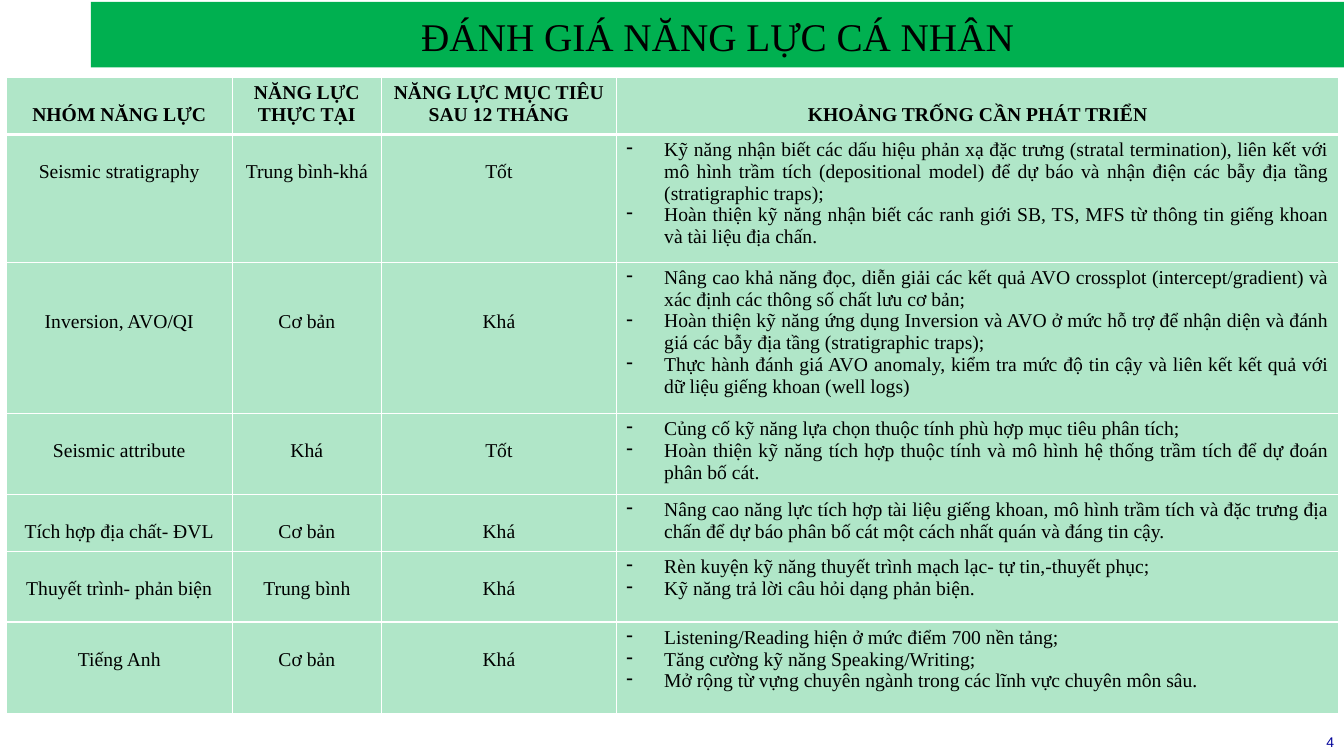
from lxml import etree
from pptx import Presentation
from pptx import util as u
from pptx.dml.color import RGBColor
from pptx.enum import shapes, text
from pptx.oxml import ns

GREEN, WHITE, BLACK, NAVY = "00B050", "FFFFFF", "000000", "000099"
SERIF, SANS = "Times New Roman", "Arial"
LEFT, CENTER = text.PP_ALIGN.LEFT, text.PP_ALIGN.CENTER
RIGHT, JUSTIFY = text.PP_ALIGN.RIGHT, text.PP_ALIGN.JUSTIFY

COLUMN_WIDTHS = [161.4, 106.6, 167.8, 516.2]
ROW_HEIGHTS = [41, 88.6, 104.4, 57.6, 39.6, 50.4, 65.5]
LINE_HEIGHT = 15.5
CELL_TOP = 3.6

# Each heading: wording, lines it is lowered by
HEADINGS = [
    ("NHÓM NĂNG LỰC", 1),
    ("NĂNG LỰC THỰC TẠI", 0),
    ("NĂNG LỰC MỤC TIÊU SAU 12 THÁNG", 0),
    ("KHOẢNG TRỐNG CẦN PHÁT TRIỂN", 1),
]

# Each skill: group, current level, target level, lines lowered by, gaps
SKILLS = [
    ("Seismic stratigraphy", "Trung bình-khá", "Tốt", 1, [
        "Kỹ năng nhận biết các dấu hiệu phản xạ đặc trưng (stratal termination), "
        "liên kết với mô hình trầm tích (depositional model) để dự báo và nhận "
        "điện các bẫy địa tầng (stratigraphic traps);",
        "Hoàn thiện kỹ năng nhận biết các ranh giới SB, TS, MFS từ thông tin "
        "giếng khoan và tài liệu địa chấn.",
    ]),
    ("Inversion, AVO/QI", "Cơ bản", "Khá", 2, [
        "Nâng cao khả năng đọc, diễn giải các kết quả AVO crossplot "
        "(intercept/gradient) và xác định các thông số chất lưu cơ bản;",
        "Hoàn thiện kỹ năng ứng dụng Inversion và AVO ở mức hỗ trợ để nhận diện "
        "và đánh giá các bẫy địa tầng (stratigraphic traps);",
        "Thực hành đánh giá AVO anomaly, kiểm tra mức độ tin cậy và liên kết "
        "kết quả với dữ liệu giếng khoan (well logs)",
    ]),
    ("Seismic attribute", "Khá", "Tốt", 1, [
        "Củng cố kỹ năng lựa chọn thuộc tính phù hợp mục tiêu phân tích;",
        "Hoàn thiện kỹ năng tích hợp thuộc tính và mô hình hệ thống trầm tích "
        "để dự đoán phân bố cát.",
    ]),
    ("Tích hợp địa chất- ĐVL", "Cơ bản", "Khá", 1, [
        "Nâng cao năng lực tích hợp tài liệu giếng khoan, mô hình trầm tích và "
        "đặc trưng địa chấn để dự báo phân bố cát một cách nhất quán và đáng "
        "tin cậy.",
    ]),
    ("Thuyết trình- phản biện", "Trung bình", "Khá", 1, [
        "Rèn kuyện kỹ năng thuyết trình mạch lạc- tự tin,-thuyết phục;",
        "Kỹ năng trả lời câu hỏi dạng phản biện.",
    ]),
    ("Tiếng Anh", "Cơ bản", "Khá", 1, [
        "Listening/Reading hiện ở mức điểm 700 nền tảng;",
        "Tăng cường kỹ năng Speaking/Writing;",
        "Mở rộng từ vựng chuyên ngành trong các lĩnh vực chuyên môn sâu.",
    ]),
]


def rgb(code):
    return RGBColor.from_string(code)


def write(frame, paragraphs, size=14, font=SERIF, color=BLACK, bold=False,
          align=LEFT, spacing=None, dash=False):
    """Fill a text frame with one paragraph per string."""
    frame.word_wrap = True
    for index, wording in enumerate(paragraphs):
        paragraph = frame.paragraphs[0] if index == 0 else frame.add_paragraph()
        paragraph.alignment = align
        if spacing:
            paragraph.line_spacing = spacing
        if dash:
            properties = paragraph._p.get_or_add_pPr()
            properties.set("marL", str(u.Pt(27)))
            properties.set("indent", str(u.Pt(-27)))
            etree.SubElement(properties, ns.qn("a:buChar"), char="-")
        run = paragraph.add_run()
        run.text = wording
        run.font.name, run.font.size = font, u.Pt(size)
        run.font.bold, run.font.color.rgb = bold, rgb(color)


class SlideBuilder:
    def __init__(self, slide):
        self.slide = slide

    def banner(self, wording, *box):
        banner = self.slide.shapes.add_shape(
            shapes.MSO_SHAPE.RECTANGLE, *map(u.Pt, box))
        banner.shadow.inherit = False
        banner.fill.solid()
        banner.fill.fore_color.rgb = rgb(GREEN)
        banner.line.fill.background()
        banner.text_frame.vertical_anchor = text.MSO_ANCHOR.MIDDLE
        write(banner.text_frame, [wording], size=28, align=CENTER, spacing=1.05)

    def page_number(self, number, *box):
        label = self.slide.shapes.add_textbox(*map(u.Pt, box))
        write(label.text_frame, [number], size=10, font=SANS, color=NAVY, align=RIGHT)

    def table(self, left, top, widths, heights):
        table = self.slide.shapes.add_table(
            len(heights), len(widths), u.Pt(left), u.Pt(top),
            u.Pt(sum(widths)), u.Pt(sum(heights))).table
        table.first_row = table.horz_banding = False
        for column, width in zip(table.columns, widths):
            column.width = u.Pt(width)
        for row, height in zip(table.rows, heights):
            row.height = u.Pt(height)
        return table

    def cell(self, cell, paragraphs, lowered=0, top_line=1, bottom_line=1, **style):
        cell.margin_top = u.Pt(CELL_TOP + lowered * LINE_HEIGHT)
        properties = cell._tc.get_or_add_tcPr()
        for side, width in zip("LRTB", (1, 1, top_line, bottom_line)):
            border = etree.SubElement(
                properties, ns.qn(f"a:ln{side}"), w=str(u.Pt(width)))
            paint = etree.SubElement(border, ns.qn("a:solidFill"))
            etree.SubElement(paint, ns.qn("a:srgbClr"), val=WHITE)
        cell.fill.solid()
        cell.fill.fore_color.rgb = rgb(GREEN)
        tint = properties.find(ns.qn("a:solidFill")).find(ns.qn("a:srgbClr"))
        etree.SubElement(tint, ns.qn("a:alpha"), val="31000")
        write(cell.text_frame, paragraphs, **style)


def main():
    deck = Presentation()
    deck.slide_width, deck.slide_height = u.Pt(960), u.Pt(540)
    builder = SlideBuilder(deck.slides.add_slide(deck.slide_layouts[6]))

    builder.banner("ĐÁNH GIÁ NĂNG LỰC CÁ NHÂN", 65, 1.4, 895, 46.8)
    builder.page_number("4", 912, 520.6, 48, 16.6)

    skills_table = builder.table(4.5, 55, COLUMN_WIDTHS, ROW_HEIGHTS)
    for column, (heading, lowered) in enumerate(HEADINGS):
        builder.cell(skills_table.cell(0, column), [heading], lowered,
                     bottom_line=3, bold=True, align=CENTER)
    for row, (*levels, lowered, gaps) in enumerate(SKILLS, start=1):
        top_line = 3 if row == 1 else 1
        for column, level in enumerate(levels):
            builder.cell(skills_table.cell(row, column), [level], lowered,
                         top_line, align=CENTER)
        builder.cell(skills_table.cell(row, len(levels)), gaps,
                     top_line=top_line, align=JUSTIFY, dash=True)

    deck.save("out.pptx")


if __name__ == "__main__":
    main()
